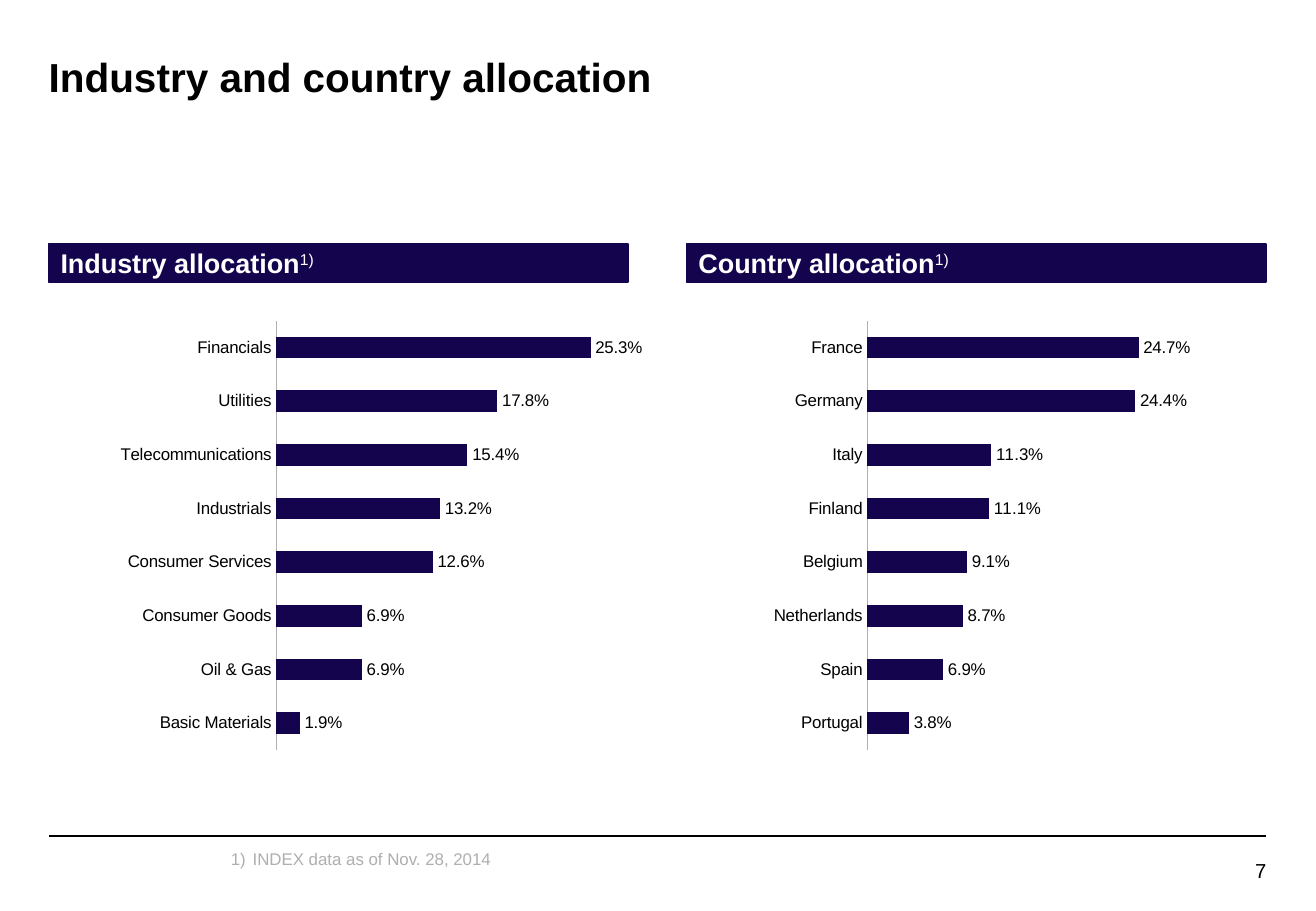
from pptx import Presentation
from pptx.chart.data import CategoryChartData
from pptx.dml.color import RGBColor
from pptx.enum.chart import XL_CHART_TYPE as ChartType
from pptx.enum.chart import XL_LABEL_POSITION as LabelPos
from pptx.enum.chart import XL_TICK_MARK as Tick
from pptx.enum.shapes import MSO_CONNECTOR as Connector
from pptx.enum.shapes import MSO_SHAPE as Shape
from pptx.enum.text import MSO_ANCHOR as Anchor
from pptx.enum.text import PP_ALIGN as Align
from pptx.oxml import parse_xml
from pptx.oxml.ns import nsdecls, qn
from pptx.util import Inches, Pt

NAVY = RGBColor(0x14, 0x04, 0x4E)
GREY = RGBColor(0xAF, 0xAF, 0xAF)
BLACK = RGBColor(0, 0, 0)
WHITE = RGBColor(255, 255, 255)
LEFT, RIGHT = 0.4, 10.42


def style_font(font, size, color=BLACK, bold=False):
    look = {"name": "Arial", "size": Pt(size), "bold": bold}
    for attribute, value in look.items():
        setattr(font, attribute, value)
    font.color.rgb = color


def set_frame(frame, anchor=Anchor.TOP, wrap=True, left=0):
    layout = {"margin_left": Inches(left), "margin_top": 0, "margin_right": 0,
              "margin_bottom": 0, "word_wrap": wrap, "vertical_anchor": anchor}
    for attribute, value in layout.items():
        setattr(frame, attribute, value)


prs = Presentation()
prs.slide_width, prs.slide_height = Inches(10.83), Inches(7.5)
slide = prs.slides.add_slide(prs.slide_layouts[5])
shapes = slide.shapes

# Title
title = shapes.title
title.left, title.top = Inches(LEFT), Inches(0.43)
title.width, title.height = Inches(RIGHT - LEFT), Inches(0.85)
title.text_frame.text = "Industry and country allocation"
set_frame(title.text_frame)
headline = title.text_frame.paragraphs[0]
headline.alignment = Align.LEFT
style_font(headline.runs[0].font, 24, bold=True)

# Footer rule
rule = shapes.add_connector(Connector.STRAIGHT, Inches(RIGHT), Inches(6.88),
                            Inches(LEFT), Inches(6.88))
rule.line.color.rgb = BLACK
rule.line.width = Pt(1)
rule._element.spPr.append(parse_xml(f"<a:effectLst {nsdecls('a')}/>"))

# Page number and footnote
footer = [
    ("7", 9.53, 7.08, 0.89, 0.19, 12, BLACK, Align.RIGHT),
    ("INDEX data as of Nov. 28, 2014", 1.9, 7, 8.4, 0.16, 10, GREY, Align.LEFT),
]
for text, x, y, width, height, size, color, align in footer:
    box = shapes.add_textbox(Inches(x), Inches(y), Inches(width), Inches(height))
    set_frame(box.text_frame)
    note = box.text_frame.paragraphs[0]
    note.text = text
    note.alignment = align
    note.line_spacing = 0.95
    style_font(note.runs[0].font, size, color)

# The footnote, last in the footer, is numbered "1)"
numbering = note._p.get_or_add_pPr()
numbering.set("marL", str(Inches(0.18)))
numbering.set("indent", str(Inches(-0.18)))
numbering.append(parse_xml(
    f'<a:buAutoNum {nsdecls("a")} type="arabicParenR"/>'))

# Allocation panels: heading, heading left, chart left, chart width, shares
panels = [
    ("Industry allocation", LEFT, 0.33, 5.6, {
        "Basic Materials": 0.019, "Oil & Gas": 0.069,
        "Consumer Goods": 0.069, "Consumer Services": 0.126,
        "Industrials": 0.132, "Telecommunications": 0.154,
        "Utilities": 0.178, "Financials": 0.253}),
    ("Country allocation", 5.65, 5.42, 4.95, {
        "Portugal": 0.038, "Spain": 0.069, "Netherlands": 0.087,
        "Belgium": 0.091, "Finland": 0.111, "Italy": 0.113,
        "Germany": 0.244, "France": 0.247}),
]
plot_layout = {"x": 0.347, "y": 0.05, "w": 0.548, "h": 0.842}
for heading, heading_x, chart_x, chart_width, shares in panels:
    # Heading bar with its footnote mark
    bar = shapes.add_shape(Shape.RECTANGLE, Inches(heading_x), Inches(2.01),
                           Inches(4.77), Inches(0.31))
    bar.shadow.inherit = False
    bar.fill.solid()
    bar.fill.fore_color.rgb = NAVY
    bar.line.color.rgb = NAVY
    bar.line.width = Pt(1)
    set_frame(bar.text_frame, Anchor.MIDDLE, wrap=False, left=0.1)
    label = bar.text_frame.paragraphs[0]
    label.alignment = Align.LEFT
    for text, bold in ((heading, True), ("1)", False)):
        run = label.add_run()
        run.text = text
        style_font(run.font, 16, WHITE, bold)
    run.font._element.set("baseline", "30000")

    # Bar chart
    data = CategoryChartData(number_format="0.0%")
    data.categories = list(shares)
    data.add_series("Series 1", list(shares.values()))
    chart = shapes.add_chart(ChartType.BAR_CLUSTERED, Inches(chart_x), Inches(2.43),
                             Inches(chart_width), Inches(4.2), data).chart
    chart.has_legend = False
    chart.has_title = False
    style_font(chart.font, 18)

    plot = chart.plots[0]
    plot.gap_width = 150
    plot.vary_by_categories = False
    series = plot.series[0]
    series.format.fill.solid()
    series.format.fill.fore_color.rgb = NAVY
    labels = series.data_labels
    label_format = {"show_value": True, "position": LabelPos.OUTSIDE_END,
                    "number_format": "0.0%", "number_format_is_linked": False}
    for attribute, value in label_format.items():
        setattr(labels, attribute, value)
    style_font(labels.font, 10)

    # Axes
    names = chart.category_axis
    names.major_tick_mark = names.minor_tick_mark = Tick.NONE
    names.format.line.color.rgb = GREY
    names.format.line.width = Pt(0.5)
    style_font(names.tick_labels.font, 10)
    scale = chart.value_axis
    scale_format = {"minimum_scale": 0, "maximum_scale": 0.3,
                    "has_major_gridlines": False, "visible": False}
    for attribute, value in scale_format.items():
        setattr(scale, attribute, value)

    # Fixed inner plot area
    area = chart._chartSpace.chart.plotArea
    for automatic in area.findall(qn("c:layout")):
        area.remove(automatic)
    sizes = "".join(f'<c:{key} val="{value}"/>' for key, value in plot_layout.items())
    area.insert(0, parse_xml(
        f'<c:layout {nsdecls("c")}><c:manualLayout><c:layoutTarget val="inner"/>'
        f'<c:xMode val="edge"/><c:yMode val="edge"/>{sizes}'
        "</c:manualLayout></c:layout>"))

prs.save("out.pptx")
